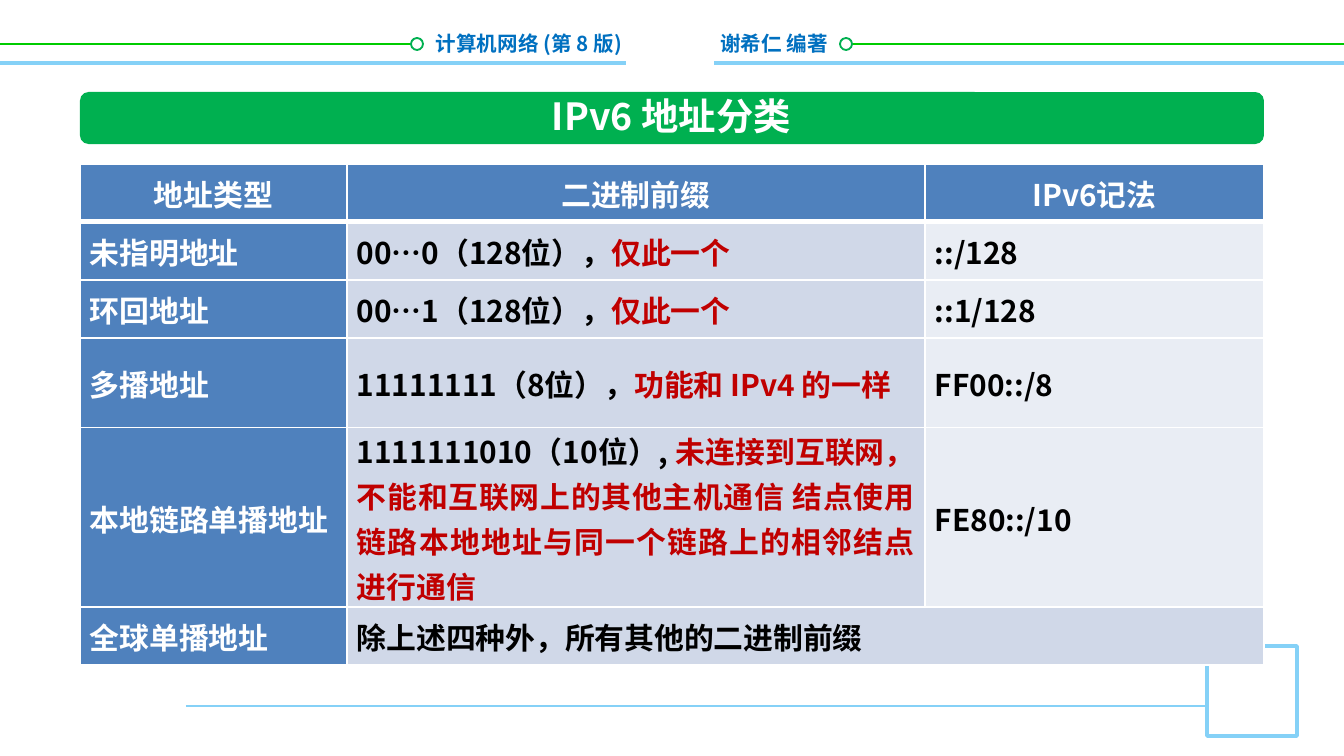
from lxml import etree
from pptx import Presentation
from pptx.dml.color import RGBColor
from pptx.enum.shapes import MSO_CONNECTOR, MSO_SHAPE
from pptx.enum.text import MSO_ANCHOR, MSO_AUTO_SIZE, PP_ALIGN
from pptx.oxml.ns import qn
from pptx.util import Emu, Pt

SCALE = 914400 / 134.4
FONT = "Noto Sans CJK SC"
LEFT, CENTER, RIGHT, JUSTIFY = (
    PP_ALIGN.LEFT, PP_ALIGN.CENTER, PP_ALIGN.RIGHT, PP_ALIGN.JUSTIFY)
MIDDLE = MSO_ANCHOR.MIDDLE
GROW = MSO_AUTO_SIZE.SHAPE_TO_FIT_TEXT
STRAIGHT = MSO_CONNECTOR.STRAIGHT
RECT, ROUND, OVAL = MSO_SHAPE.RECTANGLE, MSO_SHAPE.ROUNDED_RECTANGLE, MSO_SHAPE.OVAL

WHITE, BLACK, RED = "FFFFFF", "000000", "C00000"
GREEN, LIME, SKY, TITLE_BLUE = "00B050", "00CC00", "85D1F7", "0070C0"
HEAD_FILL, PREFIX_FILL, NOTATION_FILL = "4F81BD", "D0D8E8", "E9EDF4"

COLUMNS = (267, 578, 339)
ROW_HEIGHT = 58
HEADERS = ("地址类型", "二进制前缀", "IPv6记法")
ROWS = (
    ("未指明地址", "00…0（128位），", "仅此一个", "::/128"),
    ("环回地址", "00…1（128位），", "仅此一个", "::1/128"),
    ("多播地址", "11111111（8位），", "功能和 IPv4 的一样", "FF00::/8"),
    ("本地链路单播地址", "1111111010（10位）, ",
     "未连接到互联网，不能和互联网上的其他主机通信 结点使⽤链路本地地址与同⼀个链路上的相邻结点进⾏通信",
     "FE80::/10"),
    ("全球单播地址", "除上述四种外，所有其他的二进制前缀", "", ""),
)


def px(n):
    return Emu(round(n * SCALE))


def rgb(color):
    return RGBColor.from_string(color)


def add_run(p, text, size=16, color=BLACK):
    r = p.add_run()
    r.text = text
    r.font.size = Pt(size)
    r.font.bold = True
    r.font.name = FONT
    r.font.color.rgb = rgb(color)
    ea = etree.SubElement(r._r.get_or_add_rPr(), qn("a:ea"))
    ea.set("typeface", FONT)


def add_line(s, x1, x2, y, color, width):
    line = s.shapes.add_connector(STRAIGHT, px(x1), px(y), px(x2), px(y))
    line.line.color.rgb = rgb(color)
    line.line.width = Pt(width)
    etree.SubElement(line._element.spPr, qn("a:effectLst"))


def add_box(s, kind, x, y, w, h, fill=WHITE, line=None, width=1):
    sp = s.shapes.add_shape(kind, px(x), px(y), px(w), px(h))
    sp.shadow.inherit = False
    sp.fill.solid()
    sp.fill.fore_color.rgb = rgb(fill)
    if line:
        sp.line.color.rgb = rgb(line)
        sp.line.width = Pt(width)
    else:
        sp.line.fill.background()
    return sp


def add_text(s, text, x, y, w, h, align=LEFT, size=11, color=TITLE_BLUE):
    tf = s.shapes.add_textbox(px(x), px(y), px(w), px(h)).text_frame
    tf.word_wrap = True
    tf.auto_size = GROW
    p = tf.paragraphs[0]
    p.alignment = align
    add_run(p, text, size=size, color=color)


def set_borders(cell, top=1, bottom=1):
    tcPr = cell._tc.get_or_add_tcPr()
    sides = (("L", 1), ("R", 1), ("T", top), ("B", bottom))
    for i, (side, width) in enumerate(sides):
        ln = etree.Element(qn(f"a:ln{side}"), w=str(Pt(width)))
        fill = etree.SubElement(ln, qn("a:solidFill"))
        etree.SubElement(fill, qn("a:srgbClr"), val=WHITE)
        tcPr.insert(i, ln)


def fill_cell(cell, runs, fill, align=JUSTIFY, top=1, bottom=1):
    cell.fill.solid()
    cell.fill.fore_color.rgb = rgb(fill)
    cell.vertical_anchor = MIDDLE
    cell.margin_left = cell.margin_right = px(10)
    cell.margin_top = cell.margin_bottom = 0
    set_borders(cell, top=top, bottom=bottom)
    p = cell.text_frame.paragraphs[0]
    p.alignment = align
    p.line_spacing = Pt(24)
    for text, color in runs:
        if text:
            add_run(p, text, color=color)


def add_address_table(s):
    count = len(ROWS) + 1
    table = s.shapes.add_table(
        count, len(COLUMNS), px(80), px(164),
        px(sum(COLUMNS)), px(ROW_HEIGHT * count)).table
    for column, width in zip(table.columns, COLUMNS):
        column.width = px(width)
    for row in table.rows:
        row.height = px(ROW_HEIGHT)
    for c, text in enumerate(HEADERS):
        fill_cell(table.cell(0, c), [(text, WHITE)], HEAD_FILL, align=CENTER, bottom=3)
    for i, (kind, prefix, remark, notation) in enumerate(ROWS, 1):
        top = 3 if i == 1 else 1
        fill_cell(table.cell(i, 0), [(kind, WHITE)], HEAD_FILL, top=top)
        fill_cell(table.cell(i, 1), [(prefix, BLACK), (remark, RED)], PREFIX_FILL, top=top)
        fill_cell(table.cell(i, 2), [(notation, BLACK)], NOTATION_FILL, top=top)
    table.cell(count - 1, 1).merge(table.cell(count - 1, 2))


def add_frame(s):
    add_line(s, 186, 1207, 706, SKY, 1.5)
    add_box(s, RECT, 1207, 646, 90, 90, line=SKY, width=2)
    add_line(s, 0, 1344, 63, SKY, 2)
    add_box(s, RECT, 626, 19, 88, 68)
    add_line(s, 0, 416, 44, LIME, 1)
    add_text(s, "谢希仁 编著", 707, 24, 156, 39)
    add_text(s, "计算机网络 (第 8 版)", 416, 24, 219, 39, align=RIGHT)
    add_line(s, 840, 1344, 44, LIME, 1)
    for x in (411, 840):
        add_box(s, OVAL, x, 38, 12, 12, line=GREEN)


def main():
    prs = Presentation()
    prs.slide_width, prs.slide_height = px(1344), px(756)
    s = prs.slides.add_slide(prs.slide_layouts[6])
    add_frame(s)
    add_box(s, ROUND, 80, 92, 1184, 52, fill=GREEN)
    add_text(s, "IPv6 地址分类", 285, 87, 773, 59, align=CENTER, size=20, color=WHITE)
    add_address_table(s)
    prs.save("out.pptx")


if __name__ == "__main__":
    main()
